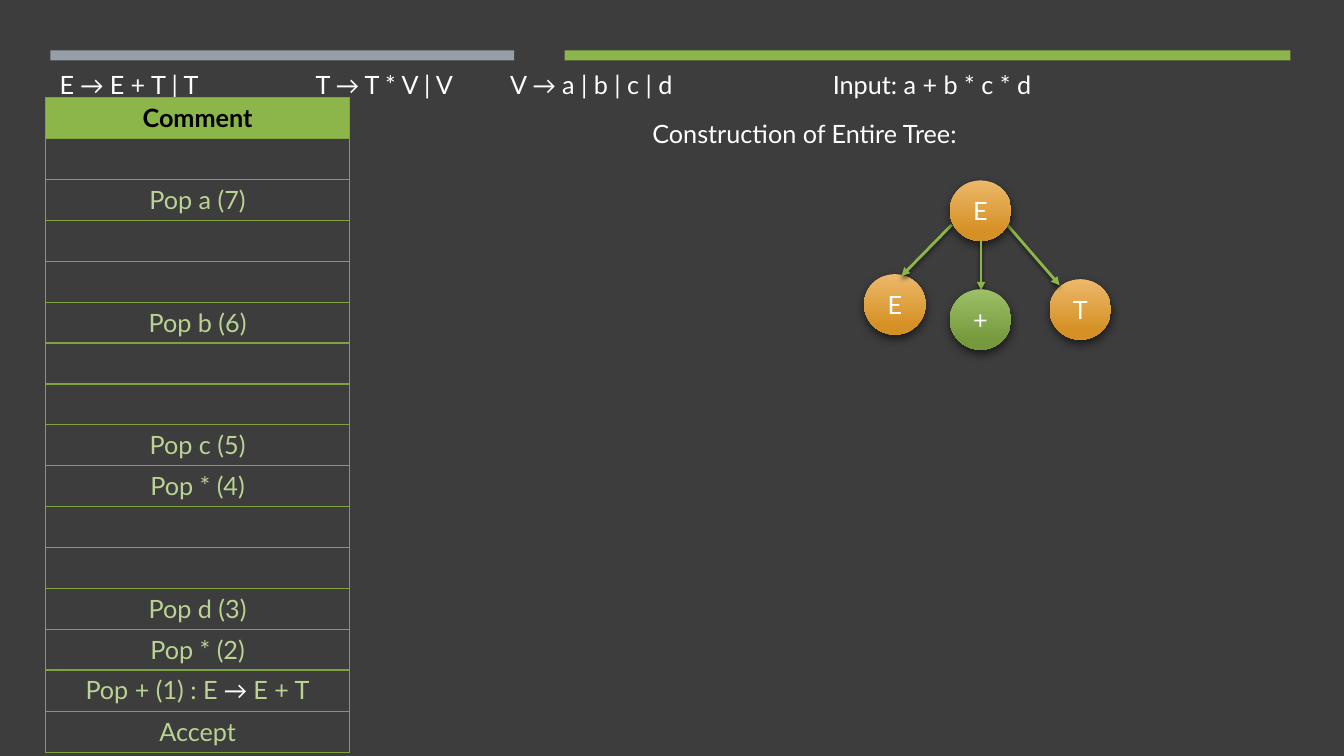
"""Build the slide on constructing a parse tree."""
import pptx
import pptx.util
import pptx.dml.color
import pptx.enum.dml
import pptx.enum.shapes
import pptx.enum.text
import pptx.oxml
import pptx.oxml.ns
from lxml import etree

Inches = pptx.util.Inches
Pt = pptx.util.Pt
RGBColor = pptx.dml.color.RGBColor
SHAPE = pptx.enum.shapes.MSO_SHAPE
ALIGN = pptx.enum.text.PP_ALIGN
ANCHOR = pptx.enum.text.MSO_ANCHOR
qn = pptx.oxml.ns.qn

BACKGROUND = RGBColor(0x3D, 0x3D, 0x3D)
WHITE = RGBColor(0xFF, 0xFF, 0xFF)
BLACK = RGBColor(0, 0, 0)
GREY = RGBColor(0x96, 0x9F, 0xA7)
GREEN = RGBColor(0x8C, 0xB6, 0x4A)
PALE_GREEN = RGBColor(0xBA, 0xD3, 0x92)
BORDER = RGBColor(0x7E, 0xA4, 0x42)
ORANGES = (RGBColor(0xEC, 0xB8, 0x6A), RGBColor(0xD6, 0x91, 0x26))
GREENS = (RGBColor(0x9C, 0xC0, 0x67), RGBColor(0x76, 0x99, 0x3E))

GRAMMAR = "E → E + T | T\tT → T * V | V\tV → a | b | c | d\tInput: a + b * c * d"
TAB_STOPS = (2.54, 4.47, 7.67)
COMMENTS = ("Comment", "", "Pop a (7)", "", "", "Pop b (6)", "", "", "Pop c (5)",
            "Pop * (4)", "", "", "Pop d (3)", "Pop * (2)",
            "Pop + (1) : E → E + T", "Accept")


def write(p, text, color=WHITE, bold=False, align=ALIGN.CENTER):
    """Fill a paragraph, setting its arrows in white Calibri."""
    p.alignment = align
    for i, part in enumerate(text.split("→")):
        pieces = [("→", "Calibri", WHITE)] if i else []
        pieces.append((part, "Lato", color))
        for words, name, shade in pieces:
            if words:
                r = p.add_run()
                r.text = words
                formats = {"name": name, "size": Pt(18), "bold": bold}
                for key, value in formats.items():
                    setattr(r.font, key, value)
                r.font.color.rgb = shade


def add_shadow(s, alpha, blur, dist, angle):
    """Give a shape or connector a soft black shadow."""
    spPr = s.element.spPr
    effects = spPr.find(qn("a:effectLst"))
    if effects is None:
        effects = etree.SubElement(spPr, qn("a:effectLst"))
    shadow = etree.SubElement(effects, qn("a:outerShdw"), blurRad=str(Pt(blur)),
                              dist=str(Pt(dist)), dir=str(angle * 60000),
                              rotWithShape="0")
    color = etree.SubElement(shadow, qn("a:srgbClr"), val="000000")
    etree.SubElement(color, qn("a:alpha"), val=str(alpha * 1000))


def add_grammar(slide, x, y, w, h):
    """Set the grammar and input in the title, spaced by tab stops."""
    s = slide.shapes.title
    s.left, s.top, s.width, s.height = (Inches(v) for v in (x, y, w, h))
    tf = s.text_frame
    tf.auto_size = pptx.enum.text.MSO_AUTO_SIZE.NONE
    tf.vertical_anchor = ANCHOR.MIDDLE
    tf.word_wrap = True
    p = tf.paragraphs[0]
    p.line_spacing = 1.5
    tabs = etree.SubElement(p._p.get_or_add_pPr(), qn("a:tabLst"))
    for stop in TAB_STOPS:
        etree.SubElement(tabs, qn("a:tab"), pos=str(Inches(stop)), algn="l")
    write(p, GRAMMAR, align=ALIGN.LEFT)


def add_bars(slide, x, y, w, h):
    """Draw the short grey bar and the long green bar in a strip."""
    short, gap = 4.6, 0.5
    start = short + gap
    for dx, width, color in ((0, short, GREY), (start, w - start, GREEN)):
        s = slide.shapes.add_shape(SHAPE.RECTANGLE, Inches(x + dx), Inches(y),
                                   Inches(width), Inches(h))
        s.shadow.inherit = False
        s.fill.solid()
        s.fill.fore_color.rgb = color
        s.line.fill.background()


def add_comments(slide, x, y, w, h):
    """Add the one-column table of parser comments."""
    count = len(COMMENTS)
    table = slide.shapes.add_table(count, 1, Inches(x), Inches(y),
                                   Inches(w), Inches(h)).table
    table.horz_banding = False
    for i, text in enumerate(COMMENTS):
        table.rows[i].height = Inches(h / count)
        cell = table.cell(i, 0)
        cell.vertical_anchor = ANCHOR.MIDDLE if i == 0 else ANCHOR.TOP
        write(cell.text_frame.paragraphs[0], text,
              BLACK if i == 0 else PALE_GREEN, i == 0)
        tcPr = cell._tc.get_or_add_tcPr()
        for side in ("a:lnL", "a:lnR", "a:lnT", "a:lnB"):
            ln = etree.SubElement(tcPr, qn(side), w=str(Pt(1)))
            fill = etree.SubElement(ln, qn("a:solidFill"))
            etree.SubElement(fill, qn("a:srgbClr"), val=str(BORDER))
        if i == 0:
            cell.fill.solid()
            cell.fill.fore_color.rgb = GREEN
        else:
            cell.fill.background()


def add_caption(slide, x, y, w, h):
    """Add the caption above the tree."""
    tf = slide.shapes.add_textbox(Inches(x), Inches(y), Inches(w), Inches(h)).text_frame
    tf.word_wrap = True
    p = tf.paragraphs[0]
    p.line_spacing = 1.5
    write(p, "Construction of Entire Tree:")


def add_node(slide, x, y, text, colors):
    """Draw one shaded round tree node."""
    s = slide.shapes.add_shape(SHAPE.OVAL, Inches(x), Inches(y), Inches(0.61), Inches(0.6))
    s.fill.gradient()
    s.fill.gradient_angle = 270
    for stop, color, position in zip(s.fill.gradient_stops, colors, (0, 0.84)):
        stop.color.rgb = color
        stop.position = position
    s.line.fill.background()
    s.shadow.inherit = False
    add_shadow(s, 60, 7, 3, 84)
    s.text_frame.vertical_anchor = ANCHOR.MIDDLE
    write(s.text_frame.paragraphs[0], text)


def add_edge(slide, x1, y1, x2, y2):
    """Draw an arrow from parent to child."""
    c = slide.shapes.add_connector(pptx.enum.shapes.MSO_CONNECTOR.STRAIGHT,
                                   Inches(x1), Inches(y1), Inches(x2), Inches(y2))
    c.line.color.rgb = GREEN
    c.line.width = Pt(2)
    etree.SubElement(c.element.spPr.find(qn("a:ln")), qn("a:tailEnd"), type="triangle")
    add_shadow(c, 55, 3, 2, 90)


def add_tree(slide, x, y):
    """Draw the root, its three children and the arrows between them."""
    add_node(slide, x, y + 0.93, "E", ORANGES)
    add_node(slide, x + 1.84, y + 0.98, "T", ORANGES)
    add_edge(slide, x + 0.87, y + 0.44, x + 0.37, y + 0.95)
    add_edge(slide, x + 1.42, y + 0.44, x + 1.94, y + 1.04)
    add_node(slide, x + 0.85, y, "E", ORANGES)
    add_edge(slide, x + 1.16, y + 0.59, x + 1.16, y + 1.09)
    add_node(slide, x + 0.85, y + 1.08, "+", GREENS)


def main():
    """Build and save the presentation."""
    prs = pptx.Presentation()
    prs.slide_width, prs.slide_height = Inches(13.33), Inches(7.5)
    slide = prs.slides.add_slide(prs.slide_layouts[5])
    slide.background.fill.solid()
    slide.background.fill.fore_color.rgb = BACKGROUND
    add_grammar(slide, 0.49, 0.55, 12.02, 0.42)
    add_bars(slide, 0.5, 0.5, 12.3, 0.1)
    add_comments(slide, 0.45, 0.97, 3.02, 6.49)
    add_caption(slide, 6.05, 0.97, 3.86, 0.51)
    add_tree(slide, 8.57, 1.79)
    prs.save("out.pptx")


if __name__ == "__main__":
    main()
